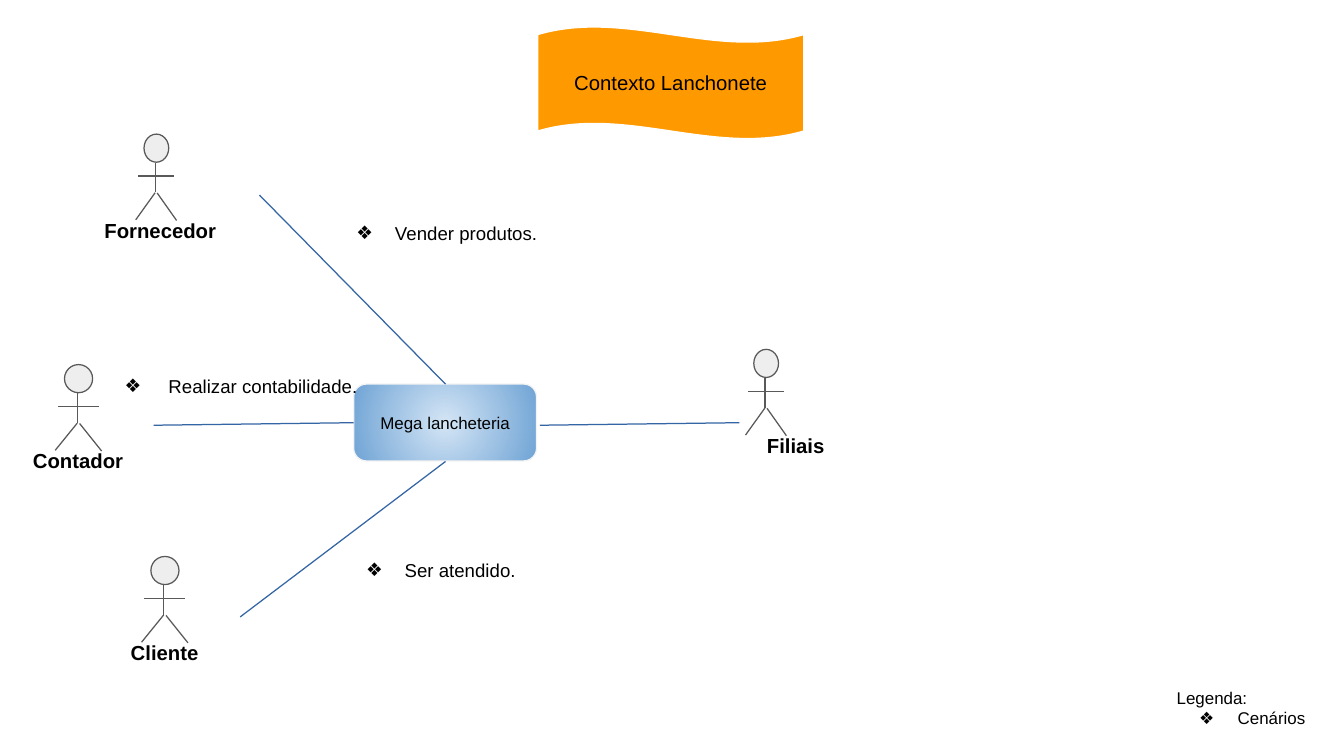
from lxml.etree import SubElement
from pptx import Presentation
from pptx.dml.color import RGBColor
from pptx.enum.shapes import MSO_CONNECTOR as Link, MSO_SHAPE as Preset
from pptx.enum.text import MSO_ANCHOR as Anchor, PP_ALIGN as Align
from pptx.oxml.ns import qn
from pptx.util import Pt

BLACK, WHITE, BLUE, GREY = "000000", "FFFFFF", "3465A4", "595959"

BANNER = ("Contexto Lanchonete", 317.5, 15.8, 157, 66.2)
SYSTEM = ("Mega lancheteria", 208.8, 226.8, 108, 45.4)

# name, body x, head top, scale across, label left, label width
ACTORS = [
    ("Contador", 45.6, 215.3, 1, 2.2, 87.8),
    ("Fornecedor", 91.6, 79.2, 0.88, 36.7, 115.9),
    ("Cliente", 96.6, 328.6, 1, 53.3, 87.8),
    ("Filiais", 451.6, 206.3, 0.88, 396.7, 146.2),
]
LIMBS = [
    (0, 17, 0, 34.4),
    (-11.3, 24.8, 12.7, 24.8),
    (0, 34.6, -13, 50.6),
    (1.4, 34.8, 14.4, 51),
]
SCENARIOS = [
    ("Vender produtos.", 190.1, 124.6, 262.8, 96.5),
    ("Ser atendido.", 195.8, 323.3, 262.8, 71.3),
    (" Realizar contabilidade.", 53.3, 214.6, 262.8, 71.3),
]
LEGEND = ("Legenda:", "Cenários")
LEGEND_PLACE = (687.6, 398.9, 100.1, 41)
LINKS = [
    (153.2, 115.2, 263, 226.8),
    (141.8, 364.3, 263, 272.5),
    (90.7, 251.1, 208.8, 249.6),
    (318.8, 251.1, 436.5, 249.6),
]


def color(code):
    return RGBColor.from_string(code)


def points(*lengths):
    return [Pt(length) for length in lengths]


def style_line(line, code):
    line.color.rgb = color(code)
    line.width = Pt(0.74)


def add_preset(shapes, kind, place, line_code, fill_code=None):
    shape = shapes.add_shape(kind, *points(*place))
    shape.shadow.inherit = False
    if fill_code:
        shape.fill.solid()
        shape.fill.fore_color.rgb = color(fill_code)
    style_line(shape.line, line_code)
    return shape


def add_link(shapes, place, code):
    link = shapes.add_connector(Link.STRAIGHT, *points(*place))
    style_line(link.line, code)
    SubElement(link._element.spPr, qn("a:effectLst"))


def write(shape, text, size, align=Align.CENTER, anchor=Anchor.TOP, bold=False):
    frame = shape.text_frame
    frame.word_wrap = True
    frame.vertical_anchor = anchor
    frame.margin_left = frame.margin_right = Pt(7.2)
    frame.margin_top = frame.margin_bottom = Pt(7.2)
    frame.text = text
    for para in frame.paragraphs:
        para.alignment = align
        for span in para.runs:
            span.font.name = "Arial"
            span.font.size = Pt(size)
            span.font.bold = bold
            span.font.color.rgb = color(BLACK)


def add_text(shapes, place, text, size, **options):
    box = shapes.add_textbox(*points(*place))
    write(box, text, size, **options)
    return box


def add_bullet(para):
    props = para._p.get_or_add_pPr()
    props.set("marL", str(Pt(36)))
    props.set("indent", str(Pt(-22.8)))
    SubElement(SubElement(props, qn("a:buClr")), qn("a:srgbClr"), val=BLACK)
    SubElement(props, qn("a:buFont"), typeface="Arial")
    SubElement(props, qn("a:buChar"), char="❖")


def fill_radial(shape, codes):
    shape.fill.gradient()
    for stop, code in zip(shape.fill.gradient_stops, codes):
        stop.color.rgb = color(code)
    gradient = shape._element.spPr.find(qn("a:gradFill"))
    gradient.remove(gradient.find(qn("a:lin")))
    circle = SubElement(gradient, qn("a:path"), path="circle")
    SubElement(circle, qn("a:fillToRect"), l="50000", t="50000", r="50000", b="50000")


def add_actor(shapes, name, x, top, scale, label_left, label_width):
    parts = shapes.add_group_shape().shapes
    head = (x - 7.5 * scale, top, 16.6 * scale, 16.6)
    add_preset(parts, Preset.FLOWCHART_CONNECTOR, head, GREY, "EEEEEE")
    for x1, y1, x2, y2 in LIMBS:
        add_link(parts, (x + x1 * scale, top + y1, x + x2 * scale, top + y2), GREY)
    add_text(parts, (label_left, top + 42.3, label_width, 29), name, 12, bold=True)


deck = Presentation()
deck.slide_width, deck.slide_height = points(793.44, 446.4)
page = deck.slides.add_slide(deck.slide_layouts[6])
shapes = page.shapes

title, *place = BANNER
banner = add_preset(shapes, Preset.WAVE, place, WHITE, "FF9900")
banner.adjustments[0], banner.adjustments[1] = 0.07, 0
write(banner, title, 12, anchor=Anchor.MIDDLE)

title, *place = SYSTEM
system = add_preset(shapes, Preset.ROUNDED_RECTANGLE, place, "F3F3F3")
fill_radial(system, ("D4E5F5", "70A4D5"))
write(system, title, 10, anchor=Anchor.MIDDLE)

for actor in ACTORS:
    add_actor(shapes, *actor)

for text, *place in SCENARIOS:
    box = add_text(shapes, place, text, 11, align=Align.LEFT)
    add_bullet(box.text_frame.paragraphs[0])

legend = add_text(shapes, LEGEND_PLACE, "\n".join(LEGEND), 10, align=Align.LEFT)
add_bullet(legend.text_frame.paragraphs[1])

for place in LINKS:
    add_link(shapes, place, BLUE)

deck.save("out.pptx")
